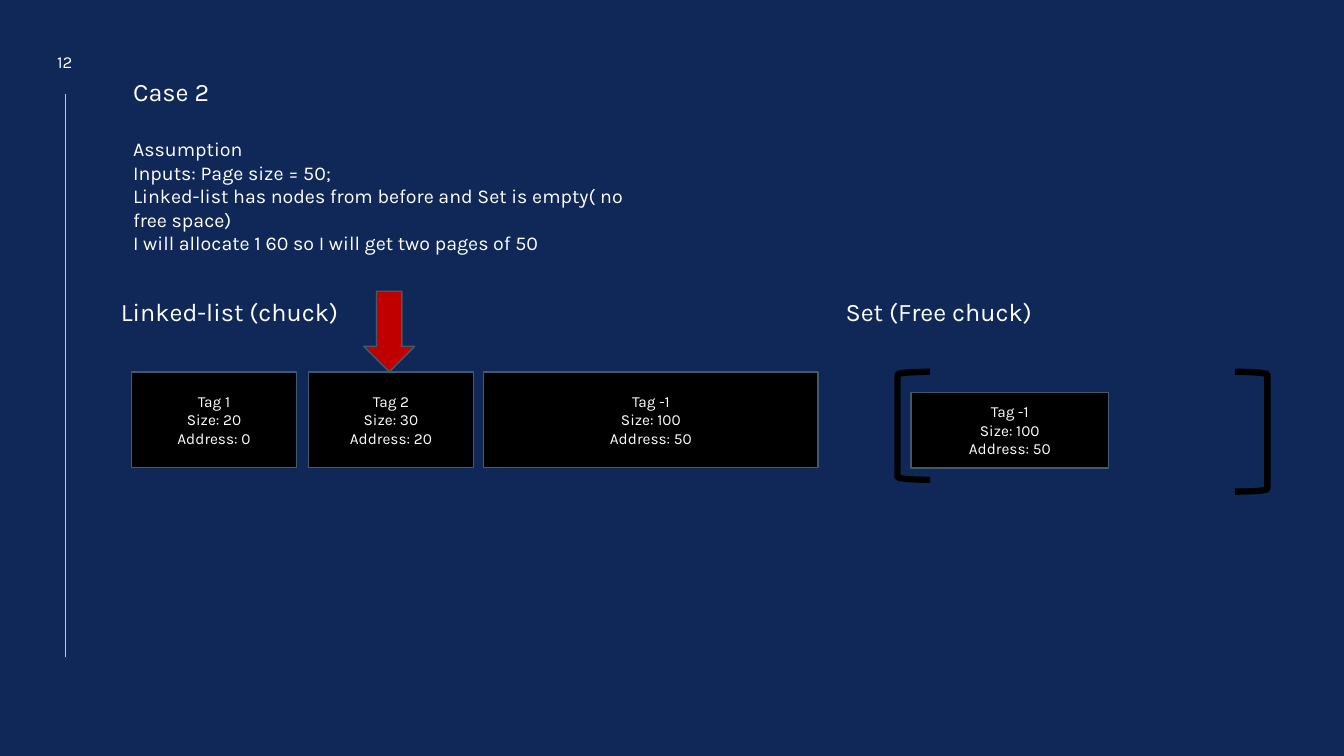
from dataclasses import dataclass

from lxml.etree import SubElement
from pptx import Presentation
from pptx.dml.color import RGBColor
from pptx.enum.shapes import MSO_CONNECTOR, MSO_SHAPE
from pptx.enum.text import MSO_ANCHOR, MSO_AUTO_SIZE, PP_ALIGN
from pptx.oxml.ns import qn
from pptx.util import Cm, Pt

FONT = "Karla"
NAVY, WHITE, BLACK = "102857", "FFFFFF", "000000"
RED, SLATE, PINK = "C00000", "405A69", "F6A6F4"

HEADING_TOP = 7.34
ROW_TOP, ROW_HEIGHT = 9.37, 2.41
TEXT_WIDTH = 13.56


@dataclass(frozen=True)
class Area:
    left: float
    top: float
    width: float
    height: float

    def lengths(self) -> tuple:
        return Cm(self.left), Cm(self.top), Cm(self.width), Cm(self.height)


@dataclass(frozen=True)
class Chunk:
    tag: int
    size: int
    address: int
    area: Area

    def lines(self) -> list[str]:
        return [f"Tag {self.tag}", f"Size: {self.size}", f"Address: {self.address}"]


@dataclass(frozen=True)
class Symbol:
    preset: MSO_SHAPE
    area: Area
    fill: str | None
    line: str
    weight: float


@dataclass(frozen=True)
class Label:
    text: str
    area: Area
    size: float
    align: PP_ALIGN = PP_ALIGN.LEFT
    anchor: MSO_ANCHOR = MSO_ANCHOR.TOP


def rgb(value: str) -> RGBColor:
    return RGBColor.from_string(value)


def apply(target, formats: dict) -> None:
    for name, value in formats.items():
        setattr(target, name, value)


def write(frame, lines: list[str], size: float, align=PP_ALIGN.LEFT,
          anchor=MSO_ANCHOR.TOP) -> None:
    apply(frame, {"word_wrap": True, "auto_size": MSO_AUTO_SIZE.NONE,
                  "vertical_anchor": anchor})
    for index, line in enumerate(lines):
        paragraph = frame.paragraphs[0] if index == 0 else frame.add_paragraph()
        apply(paragraph, {"alignment": align, "space_before": Pt(0)})
        run = paragraph.add_run()
        run.text = line
        apply(run.font, {"name": FONT, "size": Pt(size)})
        run.font.color.rgb = rgb(WHITE)


def place(placeholder, area: Area) -> None:
    names = ("left", "top", "width", "height")
    apply(placeholder, dict(zip(names, area.lengths())))


def remove_bullets(frame) -> None:
    for paragraph in frame.paragraphs:
        properties = paragraph._p.get_or_add_pPr()
        properties.set("marL", "0")
        properties.set("indent", "0")
        SubElement(properties, qn("a:buNone"))


def add_label(slide, label: Label) -> None:
    box = slide.shapes.add_textbox(*label.area.lengths())
    write(box.text_frame, [label.text], label.size, label.align, label.anchor)


def add_symbol(slide, symbol: Symbol):
    shape = slide.shapes.add_shape(symbol.preset, *symbol.area.lengths())
    shape.shadow.inherit = False
    if symbol.fill:
        shape.fill.solid()
        shape.fill.fore_color.rgb = rgb(symbol.fill)
    else:
        shape.fill.background()
    shape.line.color.rgb = rgb(symbol.line)
    shape.line.width = Pt(symbol.weight)
    return shape


def add_chunk(slide, chunk: Chunk) -> None:
    box = add_symbol(slide, Symbol(MSO_SHAPE.RECTANGLE, chunk.area, BLACK, SLATE, 1))
    write(box.text_frame, chunk.lines(), 11, PP_ALIGN.CENTER, MSO_ANCHOR.MIDDLE)


def add_margin_rule(slide) -> None:
    rule = slide.shapes.add_connector(
        MSO_CONNECTOR.STRAIGHT, Cm(1.65), Cm(2.36), Cm(1.65), Cm(16.56))
    rule.line.color.rgb = rgb(PINK)
    rule.line.width = Pt(0.5)
    SubElement(rule._element.spPr, qn("a:effectLst"))


ASSUMPTIONS = [
    "Assumption",
    "Inputs: Page size = 50;",
    "Linked-list has nodes from before and Set is empty( no free space)",
    "I will allocate 1 60 so I will get two pages of 50",
]
LABELS = [
    Label("12", Area(0.91, 1.14, 1.45, 0.86), 12, PP_ALIGN.CENTER, MSO_ANCHOR.MIDDLE),
    Label("Linked-list (chuck)", Area(2.8, HEADING_TOP, TEXT_WIDTH, 1.03), 18),
    Label("Set (Free chuck)", Area(21.06, HEADING_TOP, 12.6, 1.03), 18),
]
CHUNKS = [
    Chunk(1, 20, 0, Area(3.31, ROW_TOP, 4.17, ROW_HEIGHT)),
    Chunk(2, 30, 20, Area(7.77, ROW_TOP, 4.17, ROW_HEIGHT)),
    Chunk(-1, 100, 50, Area(12.19, ROW_TOP, 8.43, ROW_HEIGHT)),
    Chunk(-1, 100, 50, Area(22.96, 9.89, 4.98, 1.9)),
]
SYMBOLS = [
    Symbol(MSO_SHAPE.LEFT_BRACKET, Area(22.62, ROW_TOP, 0.82, 2.72), None, BLACK, 4.5),
    Symbol(MSO_SHAPE.RIGHT_BRACKET, Area(31.12, ROW_TOP, 0.82, 3.02), None, BLACK, 4.5),
    Symbol(MSO_SHAPE.DOWN_ARROW, Area(9.17, HEADING_TOP, 1.28, 2.03), RED, SLATE, 1),
]


def main() -> None:
    deck = Presentation()
    apply(deck, {"slide_width": Cm(33.87), "slide_height": Cm(19.05)})
    slide = deck.slides.add_slide(deck.slide_layouts[1])
    slide.background.fill.solid()
    slide.background.fill.fore_color.rgb = rgb(NAVY)

    # Title and assumptions
    title, assumptions = slide.placeholders
    place(title, Area(3.1, 1.8, TEXT_WIDTH, 1.03))
    write(title.text_frame, ["Case 2"], 18)
    place(assumptions, Area(3.1, 3.33, TEXT_WIDTH, 4.45))
    write(assumptions.text_frame, ASSUMPTIONS, 14)
    remove_bullets(assumptions.text_frame)

    # Page number, margin rule and section headings
    add_margin_rule(slide)
    for label in LABELS:
        add_label(slide, label)

    # Linked list, free set and the pointer to the current chunk
    for symbol in SYMBOLS:
        add_symbol(slide, symbol)
    for chunk in CHUNKS:
        add_chunk(slide, chunk)

    deck.save("out.pptx")


if __name__ == "__main__":
    main()
